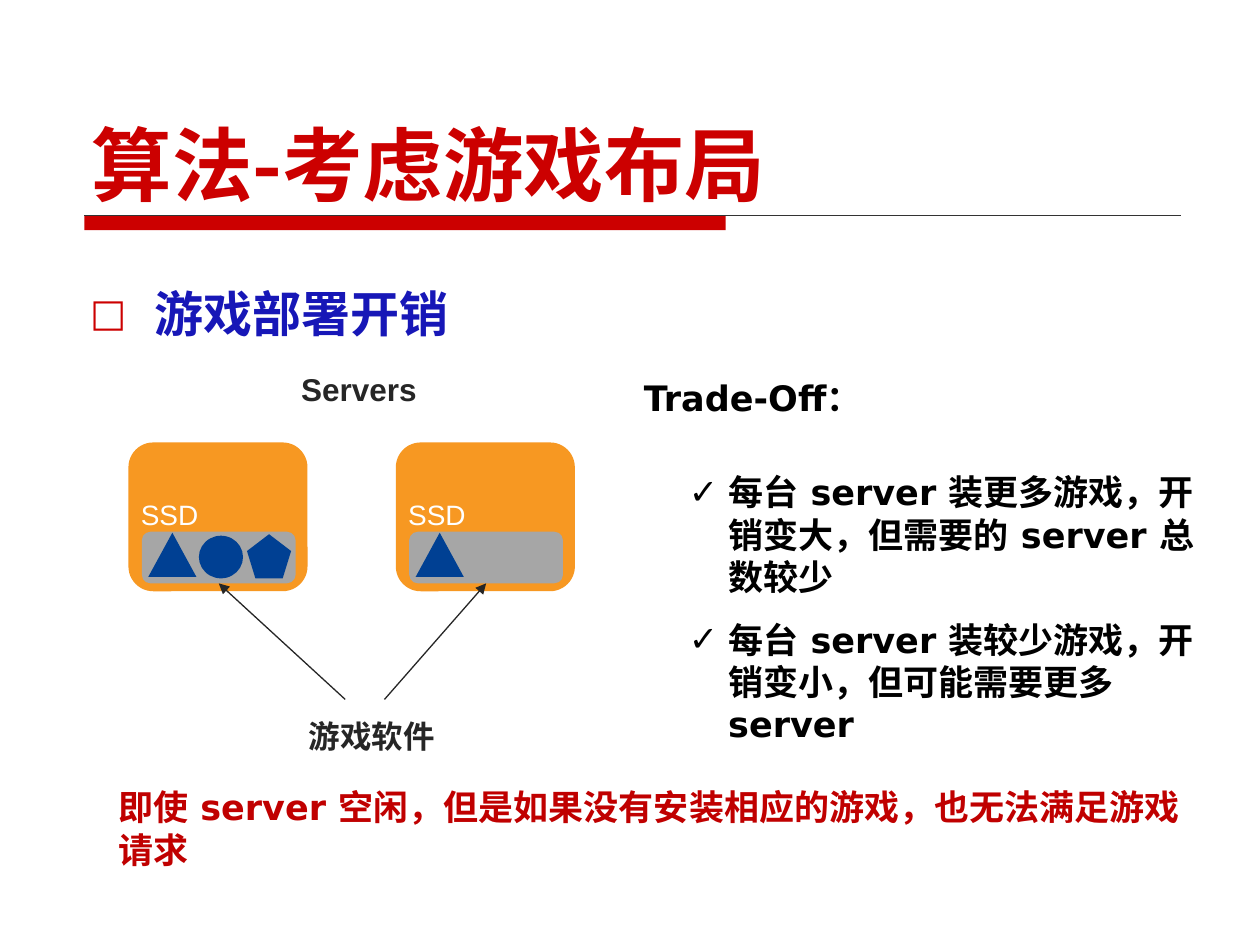
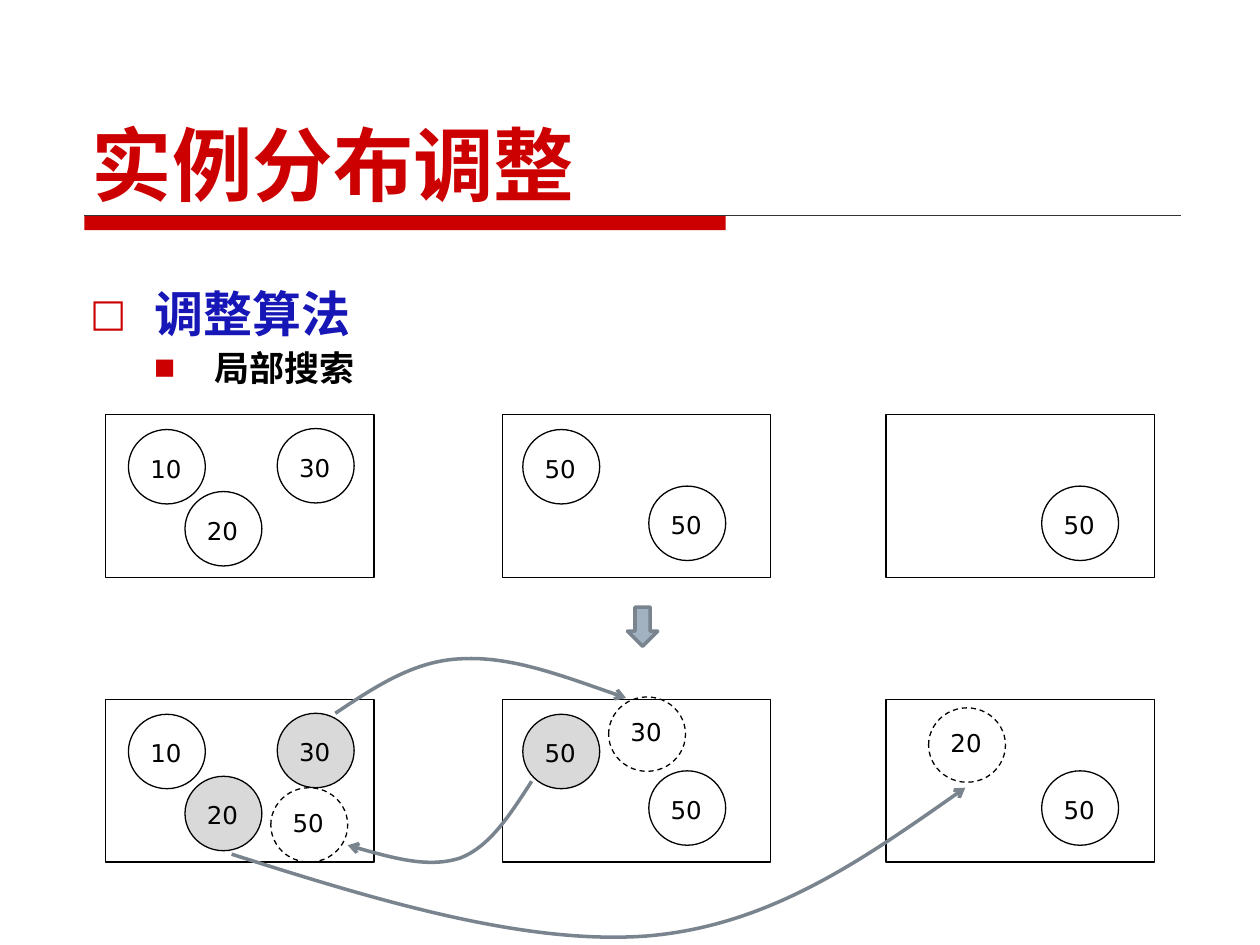
import lxml.etree
import pptx
import pptx.dml.color
import pptx.enum.dml
import pptx.enum.shapes
import pptx.enum.text
import pptx.oxml.ns
import pptx.util

Cm = pptx.util.Cm
Pt = pptx.util.Pt
qn = pptx.oxml.ns.qn
Kind = pptx.enum.shapes.MSO_SHAPE
Link = pptx.enum.shapes.MSO_CONNECTOR
Rgb = pptx.dml.color.RGBColor.from_string
add = lxml.etree.SubElement


class Theme:
    red, blue, black, ink = "CC0000", "1717B7", "000000", "262626"
    warn, white, rule = "C00000", "FFFFFF", "333333"
    orange, gray, navy = "F79822", "A6A6A6", "004093"
    pale, steel, slate = "D9D9D9", "A3B2C1", "79848F"
    han, sans, arial = "Noto Sans CJK SC", "DejaVu Sans", "Arial"
    title, head, text, label, small, tiny = 46, 28, 20, 18, 16, 14
    hair, thick = 0.75, 2


def write(slide, box, text, frame=None, size=Theme.text, font=Theme.sans,
          color=Theme.black, bold=False, low=False, pitch=None, before=0,
          after=0, left=0, hang=0, mark=None, tint=None, scale=100):
    if frame is None:
        frame = slide.shapes.add_textbox(*map(Cm, box)).text_frame
        frame.word_wrap = True
        if low:
            frame.vertical_anchor = pptx.enum.text.MSO_ANCHOR.BOTTOM
        para = frame.paragraphs[0]
    else:
        para = frame.add_paragraph()
    if pitch:
        para.line_spacing = Pt(pitch)
    para.space_before, para.space_after = Pt(before), Pt(after)
    if mark:
        props = para._p.get_or_add_pPr()
        props.set("marL", str(Cm(left)))
        props.set("indent", str(-Cm(hang)))
        if tint:
            add(add(props, qn("a:buClr")), qn("a:srgbClr"), val=tint)
        add(props, qn("a:buSzPct"), val=str(scale * 1000))
        add(props, qn("a:buFont"), typeface=Theme.sans)
        add(props, qn("a:buChar"), char=mark)
    run = para.add_run()
    run.text = text
    run.font.size, run.font.bold, run.font.name = Pt(size), bold, font
    run.font.color.rgb = Rgb(color)
    add(run.font._element, qn("a:ea"), typeface=font)
    return frame


def draw(slide, kind, box, fill=None, line=None, width=Theme.hair, dash=False):
    shape = slide.shapes.add_shape(kind, *map(Cm, box))
    shape.shadow.inherit = False
    if fill:
        shape.fill.solid()
        shape.fill.fore_color.rgb = Rgb(fill)
    else:
        shape.fill.background()
    if line:
        shape.line.color.rgb = Rgb(line)
        shape.line.width = Pt(width)
        if dash:
            shape.line.dash_style = pptx.enum.dml.MSO_LINE.DASH
    else:
        shape.line.fill.background()
    return shape


deck = pptx.Presentation()
deck.slide_width, deck.slide_height = Cm(25.4), Cm(19.05)
lines = []
slides = []
bodies = []

for title, head in [("算法-考虑游戏布局", "游戏部署开销"), ("实例分布调整", "调整算法")]:
    slide = deck.slides.add_slide(deck.slide_layouts[6])
    draw(slide, Kind.RECTANGLE, (1.7, 4.34, 12.93, 0.3), Theme.red)
    rule = slide.shapes.add_connector(Link.STRAIGHT, Cm(1.7), Cm(4.34), Cm(23.8), Cm(4.34))
    lines.append((rule, Theme.rule, Theme.hair, None))
    write(slide, (1.6, 0.84, 22.23, 3.56), title, size=Theme.title, font=Theme.han,
          color=Theme.red, bold=True, low=True)
    body = write(slide, (1.57, 4.88, 23.09, 5), head, size=Theme.head, font=Theme.han,
                 color=Theme.blue, bold=True, pitch=54, left=1.3, hang=1.3,
                 mark="□", tint=Theme.red, scale=78)
    slides.append(slide)
    bodies.append(body)

layout, shift = slides

for left, start in [(2.59, 6.96), (7.98, 7.75)]:
    draw(layout, Kind.ROUNDED_RECTANGLE, (left, 8.92, 3.61, 3), Theme.orange)
    disk = draw(layout, Kind.ROUNDED_RECTANGLE, (left + 0.27, 10.72, 3.1, 1.04), Theme.gray)
    draw(layout, Kind.ISOSCELES_TRIANGLE, (left + 0.4, 10.74, 0.97, 0.89), Theme.navy)
    write(layout, (left, 9.91, 1.78, 0.94), "SSD", size=Theme.small, font=Theme.arial,
          color=Theme.white)
    arrow = layout.shapes.add_connector(Link.STRAIGHT, Cm(start), Cm(14.1), 0, 0)
    arrow.end_connect(disk, 2)
    lines.append((arrow, Theme.ink, Theme.hair, "triangle"))
draw(layout, Kind.OVAL, (4.01, 10.8, 0.89, 0.86), Theme.navy)
draw(layout, Kind.REGULAR_PENTAGON, (4.98, 10.77, 0.89, 0.89), Theme.navy)

for box, text in [((5.82, 7.34, 3.07, 1.02), "Servers"), ((5.97, 14.33, 3.63, 1.02), "游戏软件")]:
    write(layout, box, text, size=Theme.label, font=Theme.arial, color=Theme.ink, bold=True)

write(layout, (12.73, 7.47, 11.81, 1.12), "Trade-Off：", bold=True)
frame = None
for text in ["每台 server 装更多游戏，开销变大，但需要的 server 总数较少",
             "每台 server 装较少游戏，开销变小，但可能需要更多 server"]:
    frame = write(layout, (13.64, 9.37, 10.9, 5.82), text, frame, bold=True, pitch=24,
                  after=12, left=0.79, hang=0.79, mark="✓")
write(layout, (2.13, 15.72, 22, 1.96),
      "即使 server 空闲，但是如果没有安装相应的游戏，也无法满足游戏请求",
      color=Theme.warn, bold=True, pitch=24)

write(shift, None, "局部搜索", bodies[1], font=Theme.han, bold=True, pitch=22, before=4,
      left=2.51, hang=1.22, mark="■", tint=Theme.red, scale=64)

loads = [("10", 2.59, 8.66, False), ("30", 5.59, 8.64, True), ("20", 3.73, 9.91, True),
         ("50", 10.54, 8.66, True), ("50", 13.08, 9.8, False), ("50", 21, 9.8, False)]
moved = [("50", 5.46, 15.88), ("20", 18.72, 14.27), ("30", 12.27, 14.05)]
balls = []
for row in range(2):
    drop = row * 5.74
    for left in (2.13, 10.13, 17.86):
        draw(shift, Kind.RECTANGLE, (left, 8.36 + drop, 5.41, 3.28), line=Theme.black)
    for text, left, top, moves in loads:
        fill = Theme.pale if row and moves else None
        balls.append((text, left, top + drop, fill, False))
balls += [(*ball, None, True) for ball in moved]
for text, left, top, fill, dash in balls:
    draw(shift, Kind.OVAL, (left, top, 1.55, 1.5), fill, Theme.black, dash=dash)
    gap = 0.28 if dash else 0.36
    write(shift, (left + 0.19, top + gap, 1.55, 1.24), text, size=Theme.tiny)

draw(shift, Kind.DOWN_ARROW, (12.65, 12.24, 0.61, 0.79), Theme.steel, Theme.slate, Theme.thick)

curves = [
    [(10.72, 15.75), (10.29, 16.41), (9.88, 17.07), (9.27, 17.3),
     (8.64, 17.5), (7.82, 17.27), (7.01, 17.04)],
    [(4.67, 17.22), (7.62, 18.16), (10.57, 19.05), (13.03, 18.87),
     (15.49, 18.67), (17.48, 17.27), (19.46, 15.88)],
    [(6.76, 14.38), (7.57, 13.84), (8.36, 13.31), (9.32, 13.28),
     (10.31, 13.23), (11.46, 13.67), (12.62, 14.07)],
]
for curve in curves:
    first, *rest = [(Cm(x), Cm(y)) for x, y in curve]
    pen = shift.shapes.build_freeform(*first)
    pen.add_line_segments(rest, close=False)
    arc = pen.convert_to_shape()
    arc.fill.background()
    route = arc._element.find(".//" + qn("a:path"))
    legs = route.findall(qn("a:lnTo"))
    for turn in range(0, len(legs), 3):
        bend = add(route, qn("a:cubicBezTo"))
        for leg in legs[turn:turn + 3]:
            bend.append(leg[0])
            route.remove(leg)
    lines.append((arc, Theme.slate, Theme.thick, "arrow"))

for item, color, width, tip in lines:
    item.line.color.rgb = Rgb(color)
    item.line.width = Pt(width)
    props = item._element.spPr
    if tip:
        add(props.find(qn("a:ln")), qn("a:tailEnd"), type=tip)
    add(props, qn("a:effectLst"))

deck.save("out.pptx")
